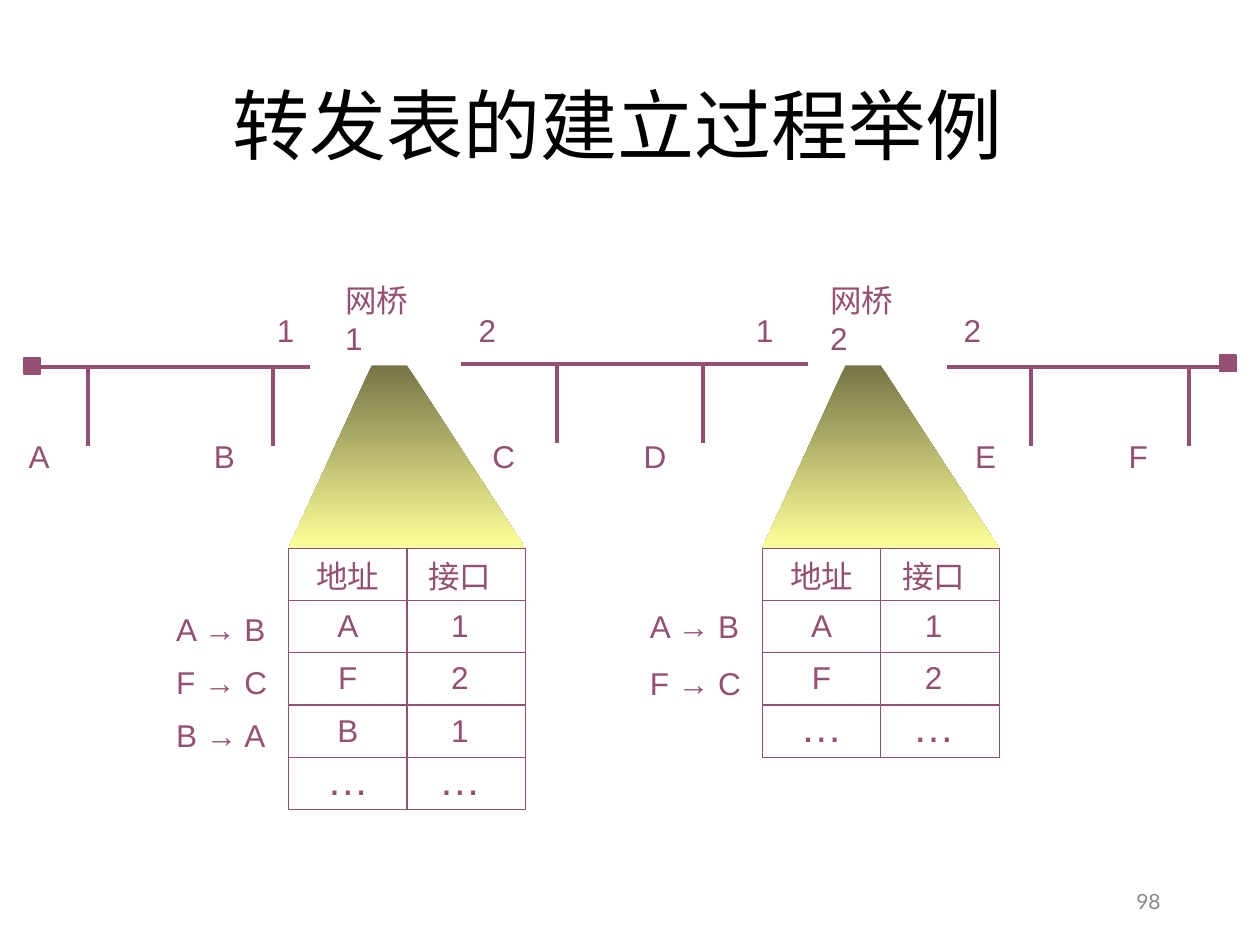
import dataclasses

import lxml.etree
import pptx
import pptx.dml.color
import pptx.enum.shapes
import pptx.enum.text
import pptx.oxml.ns
import pptx.util

Inches = pptx.util.Inches
Pt = pptx.util.Pt
Color = pptx.dml.color.RGBColor.from_string
Align = pptx.enum.text.PP_ALIGN
Anchor = pptx.enum.text.MSO_ANCHOR
qn = pptx.oxml.ns.qn


@dataclasses.dataclass(frozen=True)
class Theme:
    plum: str = "954F72"
    black: str = "000000"
    gray: str = "898989"
    beam_top: str = "767647"
    beam_bottom: str = "FFFF99"
    font: str = "Arial"
    title_font: str = "Calibri"
    number_font: str = "Lato"
    title_size: int = 44
    body_size: int = 18
    dots_size: int = 24
    number_size: int = 12
    gap_size: int = 8
    cable_width: float = 2.25
    grid_width: float = 0.75


THEME = Theme()
ROW_HEIGHT = 0.415
TABLE_TOP = 4.35
TABLE_WIDTH = 1.88
BEAM_TOP = 2.9


def style(para, size=THEME.body_size, font=THEME.font, color=THEME.plum):
    para.font.size = Pt(size)
    para.font.name = font
    para.font.color.rgb = Color(color)


def add_text(page, text, left, top, width, height=0.4, align=Align.LEFT,
             anchor=Anchor.TOP, spacing=None, wrap=False, **look):
    box = page.shapes.add_textbox(Inches(left), Inches(top), Inches(width), Inches(height))
    box.text_frame.word_wrap = wrap
    box.text_frame.vertical_anchor = anchor
    para = box.text_frame.paragraphs[0]
    para.text = text
    para.alignment = align
    para.line_spacing = spacing
    style(para, **look)
    return para


def add_bridge_label(page, number, left, top):
    para = add_text(page, "网桥", left, top, 0.8, wrap=True)
    gap = para.add_run()
    gap.text = " "
    gap.font.size = Pt(THEME.gap_size)
    para.add_run().text = number


def add_cable(page, start_x, start_y, end_x, end_y):
    cable = page.shapes.add_connector(
        pptx.enum.shapes.MSO_CONNECTOR.STRAIGHT,
        Inches(start_x), Inches(start_y), Inches(end_x), Inches(end_y))
    cable.line.color.rgb = Color(THEME.plum)
    cable.line.width = Pt(THEME.cable_width)
    lxml.etree.SubElement(cable._element.spPr, qn("a:effectLst"))


def add_segment(page, start, end, y, drops):
    add_cable(page, start, y, end, y)
    for x in drops:
        add_cable(page, x, y, x, y + 0.63)


def add_terminator(page, left, top):
    block = page.shapes.add_shape(
        pptx.enum.shapes.MSO_SHAPE.RECTANGLE,
        Inches(left), Inches(top), Inches(0.13), Inches(0.13))
    block.shadow.inherit = False
    block.fill.solid()
    block.fill.fore_color.rgb = Color(THEME.plum)
    block.line.color.rgb = Color(THEME.plum)
    block.line.width = Pt(1)


def add_beam(page, left):
    corners = [(left, TABLE_TOP), (left + 0.66, BEAM_TOP),
               (left + 0.94, BEAM_TOP), (left + TABLE_WIDTH, TABLE_TOP)]
    points = [(Inches(x), Inches(y)) for x, y in corners]
    builder = page.shapes.build_freeform(*points[0])
    builder.add_line_segments(points[1:], close=True)
    beam = builder.convert_to_shape()
    beam.shadow.inherit = False
    beam.line.fill.background()
    beam.fill.gradient()
    beam.fill.gradient_angle = 270
    for stop, color, position in zip(beam.fill.gradient_stops,
                                     (THEME.beam_top, THEME.beam_bottom), (0, 1)):
        stop.color.rgb = Color(color)
        stop.position = position


def set_borders(cell):
    properties = cell._tc.get_or_add_tcPr()
    for index, side in enumerate(("a:lnL", "a:lnR", "a:lnT", "a:lnB")):
        border = lxml.etree.Element(qn(side), w=str(Pt(THEME.grid_width)))
        fill = lxml.etree.SubElement(border, qn("a:solidFill"))
        lxml.etree.SubElement(fill, qn("a:srgbClr"), val=THEME.plum)
        properties.insert(index, border)


def add_forwarding_table(page, left, entries):
    rows = [("地址", "接口"), *entries, ("…", "…")]
    frame = page.shapes.add_table(
        len(rows), 2, Inches(left), Inches(TABLE_TOP),
        Inches(TABLE_WIDTH), Inches(ROW_HEIGHT * len(rows)))
    table = frame.table
    table.first_row = False
    table.horz_banding = False
    for row_index, row in enumerate(rows):
        table.rows[row_index].height = Inches(ROW_HEIGHT)
        for column_index, text in enumerate(row):
            cell = table.cell(row_index, column_index)
            cell.fill.background()
            set_borders(cell)
            cell.margin_left = cell.margin_top = cell.margin_bottom = 0
            cell.margin_right = Inches(0.1 * column_index)
            cell.vertical_anchor = Anchor.TOP if text == "…" else Anchor.MIDDLE
            para = cell.text_frame.paragraphs[0]
            para.text = text
            para.alignment = Align.CENTER
            style(para, size=THEME.dots_size if text == "…" else THEME.body_size)


def add_frames(page, left, top, step, frames):
    for index, text in enumerate(frames):
        add_text(page, text, left, top + index * step, 0.92, 0.44, spacing=1.15)


def main():
    deck = pptx.Presentation()
    deck.slide_width = Inches(10)
    deck.slide_height = Inches(7.5)
    page = deck.slides.add_slide(deck.slide_layouts[6])

    add_text(page, "转发表的建立过程举例", 0.83, 0.23, 8.15, 1.6, Align.CENTER,
             Anchor.MIDDLE, 0.9, True, size=THEME.title_size,
             font=THEME.title_font, color=THEME.black)

    add_segment(page, 0.27, 2.46, 2.91, (0.7, 2.17))
    add_segment(page, 3.66, 6.41, 2.89, (4.42, 5.58))
    add_segment(page, 7.52, 9.73, 2.91, (8.18, 9.44))
    add_terminator(page, 0.19, 2.84)
    add_terminator(page, 9.68, 2.82)

    for host, left in zip("ABCDEF", (0.13, 1.6, 3.81, 5.01, 7.64, 8.86)):
        add_text(page, host, left, 3.42, 0.36)
    for port, left in zip("1212", (2.1, 3.7, 5.9, 7.55)):
        add_text(page, port, left, 2.42, 0.34)
    add_bridge_label(page, "1", 2.64, 2.18)
    add_bridge_label(page, "2", 6.49, 2.18)

    entries = [("A", "1"), ("F", "2"), ("B", "1")]
    for left, known in ((2.29, entries), (6.05, entries[:2])):
        add_beam(page, left)
        add_forwarding_table(page, left, known)

    frames = ["A → B", "F → C", "B → A"]
    add_frames(page, 1.3, 4.75, 0.42, frames)
    add_frames(page, 5.06, 4.72, 0.46, frames[:2])

    add_text(page, "98", 7.06, 6.95, 2.25, 0.4, Align.RIGHT, Anchor.MIDDLE, wrap=True,
             size=THEME.number_size, font=THEME.number_font, color=THEME.gray)
    deck.save("out.pptx")


if __name__ == "__main__":
    main()
